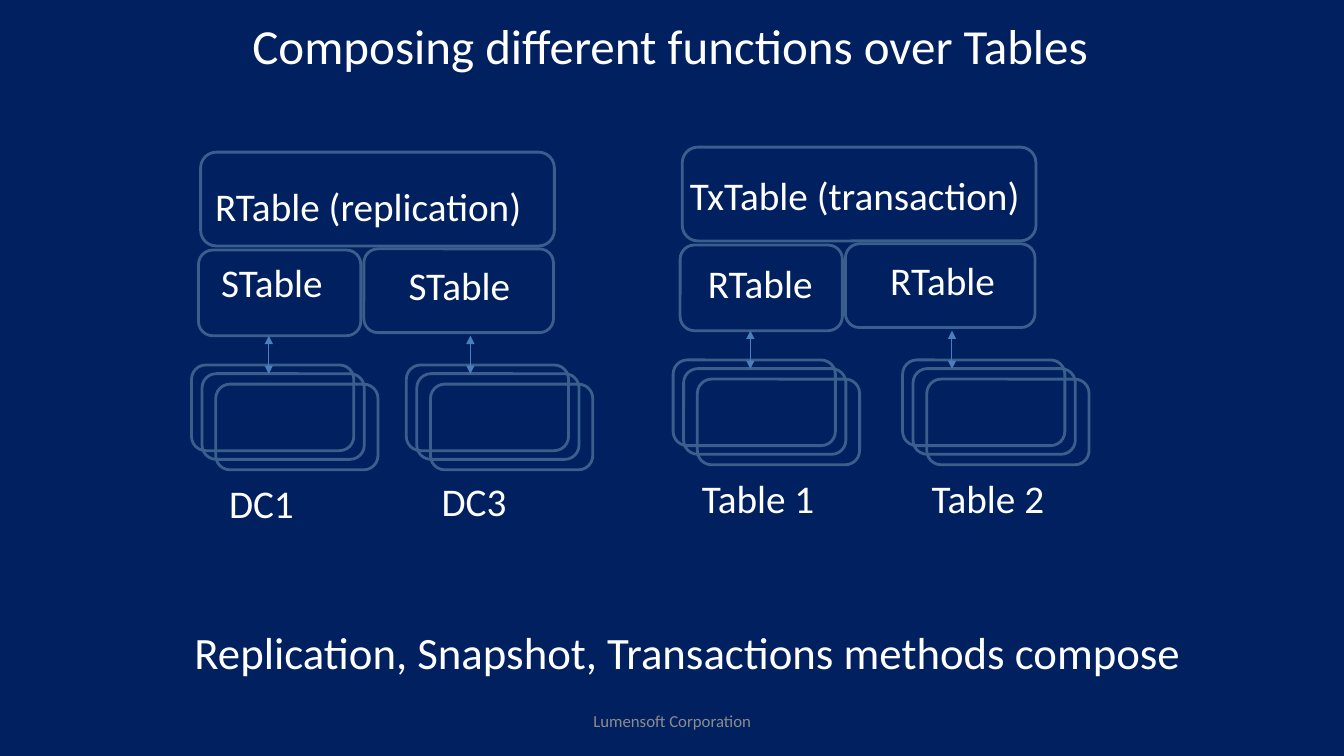
"""Build a slide showing how table functions compose."""
from dataclasses import dataclass

from lxml.etree import SubElement
from pptx import Presentation
from pptx.dml.color import RGBColor
from pptx.enum.shapes import MSO_CONNECTOR as Connector, MSO_SHAPE as Shape
from pptx.enum.text import MSO_ANCHOR as Anchor, MSO_AUTO_SIZE as AutoSize, PP_ALIGN as Align
from pptx.oxml.ns import qn
from pptx.slide import Slide
from pptx.text.text import TextFrame
from pptx.util import Pt

NAVY, WHITE, GREY = "002060", "FFFFFF", "8C8C8C"
OUTLINE, ARROW = "3A5F8C", "4B7EBC"
CARD_WIDTH, CARD_HEIGHT = 115.9, 61.2
CARD_STEPS = [(0, 0), (7.5, 6.2), (17.3, 13.7)]


@dataclass
class Panel:
    left: float
    top: float
    second_stack: float


@dataclass
class Label:
    text: str
    left: float
    top: float
    width: float
    indent: float = 15.3


PANELS = [Panel(136.8, 108.7, 153.4), Panel(480.8, 105.1, 163.9)]
LABELS = [
    Label("RTable (replication)", 136.1, 126.7, 354, 17.6),
    Label("STable", 142.6, 180.7, 118.8),
    Label("STable", 276.5, 182.9, 118.8),
    Label("DC1", 148.3, 339.1, 89.3),
    Label("DC3", 300.2, 337.7, 89.3),
    Label("TxTable (transaction)", 475.2, 118.8, 354, 17.6),
    Label("RTable", 490.3, 181.4, 118.8),
    Label("RTable", 620.6, 179.3, 118.8),
    Label("Table 1", 486, 335.5, 112.3),
    Label("Table 2", 650.2, 335.5, 112.3),
]


def colour(value: str) -> RGBColor:
    """Turn a hex string into a colour."""
    return RGBColor.from_string(value)


def write_text(frame: TextFrame, text: str, *, size: float = 28, ink: str = WHITE,
               align: Align = Align.LEFT, anchor: Anchor = Anchor.TOP,
               indent: float = 7.2) -> None:
    """Fill a frame with one formatted paragraph."""
    frame.word_wrap = True
    frame.auto_size = AutoSize.NONE
    frame.vertical_anchor = anchor
    frame.margin_left = Pt(indent)
    paragraph = frame.paragraphs[0]
    paragraph.text = text
    paragraph.alignment = align
    paragraph.font.name = "Calibri"
    paragraph.font.size = Pt(size)
    paragraph.font.color.rgb = colour(ink)


def add_text(slide: Slide, text: str, left: float, top: float, width: float,
             height: float, **text_format) -> None:
    """Add a text box with formatted text."""
    box = slide.shapes.add_textbox(Pt(left), Pt(top), Pt(width), Pt(height))
    write_text(box.text_frame, text, **text_format)


def add_card(slide: Slide, left: float, top: float,
             width: float = CARD_WIDTH, height: float = CARD_HEIGHT) -> None:
    """Add an outlined rounded rectangle."""
    card = slide.shapes.add_shape(
        Shape.ROUNDED_RECTANGLE, Pt(left), Pt(top), Pt(width), Pt(height))
    card.shadow.inherit = False
    card.fill.background()
    card.line.color.rgb = colour(OUTLINE)
    card.line.width = Pt(2)


def add_arrow(slide: Slide, x: float, top: float, bottom: float) -> None:
    """Add a vertical double-headed arrow."""
    arrow = slide.shapes.add_connector(
        Connector.STRAIGHT, Pt(x), Pt(top), Pt(x), Pt(bottom))
    arrow.line.color.rgb = colour(ARROW)
    arrow.line.width = Pt(0.75)
    outline = arrow.line._get_or_add_ln()
    for end in ("a:headEnd", "a:tailEnd"):
        SubElement(outline, qn(end), type="triangle")
    SubElement(arrow._element.spPr, qn("a:effectLst"))


def add_panel(slide: Slide, panel: Panel) -> None:
    """Draw the layers, arrows and card stacks of a panel."""
    add_card(slide, panel.left + 6.5, panel.top, 252.7, 67)
    add_card(slide, panel.left + 5, panel.top + 69.9)
    add_card(slide, panel.left + 123.1, panel.top + 69.1, 135.4, 59.8)
    for stack_left in (0, panel.second_stack):
        for across, down in CARD_STEPS:
            add_card(slide, panel.left + stack_left + across, panel.top + 152 + down)
    for across in (55.2, 199.2):
        add_arrow(slide, panel.left + across, panel.top + 131.1, panel.top + 158.4)


def main() -> None:
    """Build and save the presentation."""
    deck = Presentation()
    deck.slide_width, deck.slide_height = Pt(960), Pt(540)
    slide = deck.slides.add_slide(deck.slide_layouts[5])
    slide.background.fill.solid()
    slide.background.fill.fore_color.rgb = colour(NAVY)

    title = slide.shapes.title
    title.left, title.top, title.width, title.height = Pt(39), Pt(0), Pt(880), Pt(64)
    write_text(title.text_frame, "Composing different functions over Tables",
               size=35, align=Align.CENTER, anchor=Anchor.MIDDLE)

    for panel in PANELS:
        add_panel(slide, panel)
    for label in LABELS:
        add_text(slide, label.text, label.left, label.top, label.width, 41,
                 indent=label.indent)

    add_text(slide, "Replication, Snapshot, Transactions methods compose",
             131.8, 442.8, 777, 50, size=32)
    add_text(slide, "Lumensoft Corporation", 328.3, 500.4, 303.8, 28.8, size=12,
             ink=GREY, align=Align.CENTER, anchor=Anchor.MIDDLE)
    deck.save("out.pptx")


if __name__ == "__main__":
    main()
